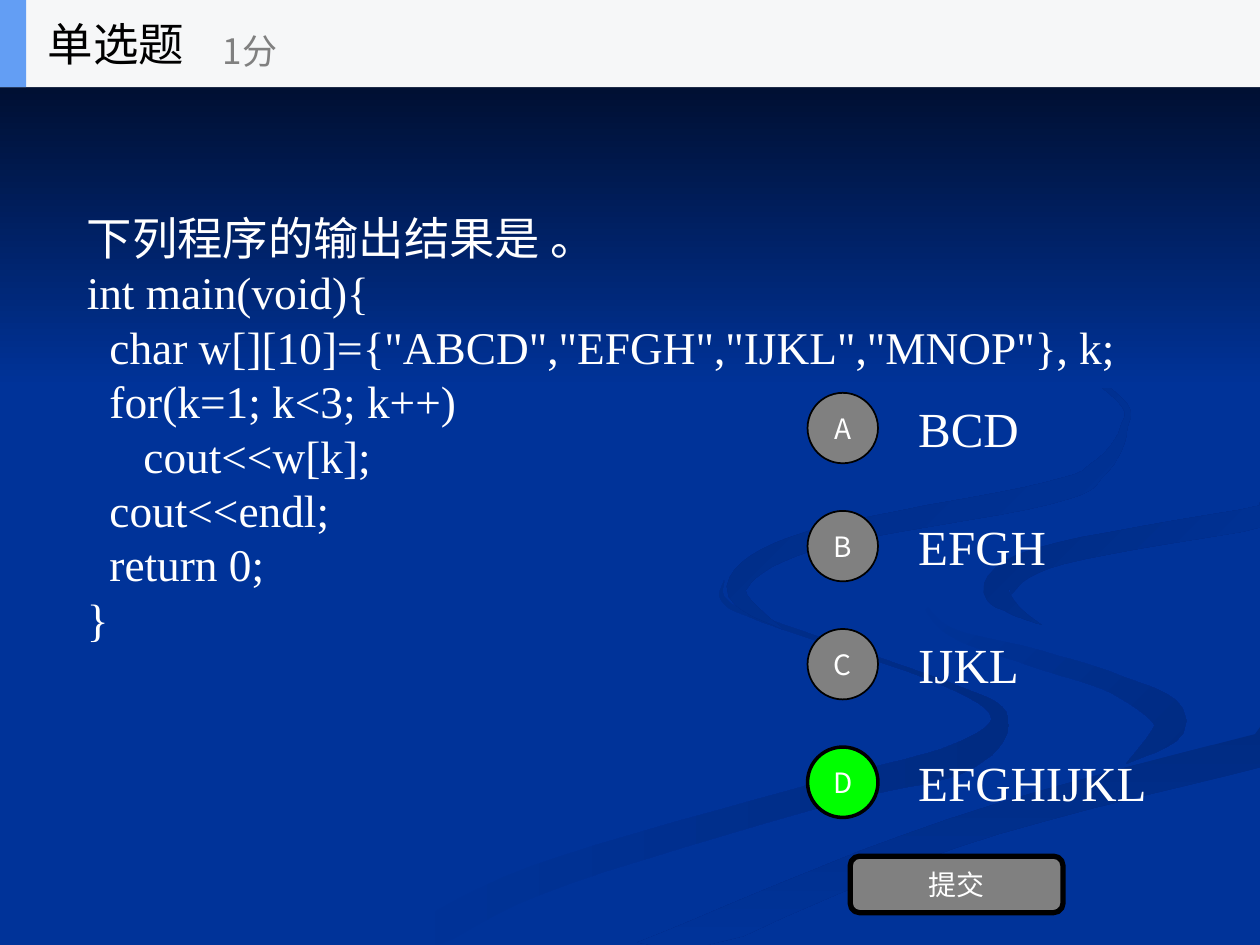
from itertools import chain
from math import atan2, cos, sin

from lxml.etree import SubElement
from pptx import Presentation
from pptx.dml.color import RGBColor
from pptx.enum.shapes import MSO_SHAPE as Preset
from pptx.enum.text import MSO_ANCHOR as Anchor, PP_ALIGN as Align
from pptx.oxml.ns import qn
from pptx.util import Cm, Pt

COLORS = {
    "blue": "003399", "night": "000514", "shade": "002B82", "white": "FFFFFF",
    "black": "000000", "gray": "808080", "green": "00FF00",
    "header": "F6F7F8", "accent": "639EF4",
}
SERIF, SANS = "Times New Roman", "Noto Sans CJK SC"
PAGE_WIDTH, PAGE_HEIGHT = 25.4, 19.05
CURVE_STEPS = 8  # samples between two stations of a ribbon
GRID = 100  # freeform units per centimetre


def write(box, text, size, font, color, align=Align.LEFT):
    frame = box.text_frame
    frame.word_wrap = True
    frame.vertical_anchor = Anchor.MIDDLE
    frame.text = text
    for para in frame.paragraphs:
        para.alignment = align
        for span in para.runs:
            span.font.size = Pt(size)
            span.font.name = font
            span.font.color.rgb = RGBColor.from_string(COLORS[color])
            SubElement(span._r.get_or_add_rPr(), qn("a:ea"), typeface=SANS)


def add_block(preset, left, top, width, height, color, border=0):
    block = page.shapes.add_shape(preset, Cm(left), Cm(top), Cm(width), Cm(height))
    block.shadow.inherit = False
    block.fill.solid()
    block.fill.fore_color.rgb = RGBColor.from_string(COLORS[color])
    if border:
        block.line.color.rgb = RGBColor.from_string(COLORS["black"])
        block.line.width = Pt(border)
    else:
        block.line.fill.background()
    return block


deck = Presentation()
deck.slide_width, deck.slide_height = Cm(PAGE_WIDTH), Cm(PAGE_HEIGHT)
page = deck.slides.add_slide(deck.slide_layouts[6])
page.background.fill.solid()
page.background.fill.fore_color.rgb = RGBColor.from_string(COLORS["blue"])

# Background ribbons: each is a centre line through a few stations (x, y, thickness) in cm.
# Stations beyond the page let a ribbon run out over the edge, where it is cut.
ribbons = {
    "lower left": ("blue", "shade", 0, [
        (14.6, 11.7, 0), (14.6, 12.1, 0.1), (15.4, 12.5, 0.1), (19.1, 13.8, 0.1),
        (20.15, 14.5, 0.35), (19.3, 15.3, 0.6), (16.6, 16, 0.5), (10.8, 17.75, 0.6),
        (7.9, 19.3, 0.7)]),
    "right hook": ("blue", "shade", 45, [
        (18.4, 11.8, 0), (19.1, 12.7, 0.15), (20.8, 13.25, 0.35), (22.5, 13.8, 0.4),
        (23.6, 14.55, 0.65), (22.7, 15.4, 0)]),
    "bottom sweep": ("shade", "blue", 90, [
        (25.9, 15, 0.7), (19.2, 16.8, 0.6), (13, 19.35, 0.75)]),
    "right tail": ("shade", "blue", 45, [
        (25.9, 10.35, 0.45), (21.4, 11.15, 0.45), (20.15, 11.8, 0.6),
        (20.4, 12.25, 0.25), (21, 12.6, 0)]),
    "upper curl": ("shade", "blue", 45, [
        (19.4, 5.9, 0), (22.4, 7.9, 0.1), (22.65, 8.65, 0.15), (22.15, 9.45, 0.35),
        (21.1, 9.95, 0.45), (16.35, 10.9, 0.4), (14.85, 11.85, 0.4), (15.8, 12.7, 0)]),
}
gradients = []
for first, last, angle, stations in ribbons.values():
    # Smooth the centre line with a Catmull-Rom spline
    padded = [stations[0], *stations, stations[-1]]
    samples = []
    for window in zip(padded, padded[1:], padded[2:], padded[3:]):
        for step in range(CURVE_STEPS):
            t = step / CURVE_STEPS
            samples.append([
                b + ((c - a) * t + (2 * a - 5 * b + 4 * c - d) * t**2
                     + (3 * b - a - 3 * c + d) * t**3) / 2
                for a, b, c, d in zip(*window)])
    samples.append(stations[-1])

    # Step half the thickness to either side of it
    sides = {1: [], -1: []}
    for before, here, after in zip(samples[:1] + samples, samples, samples[1:] + samples[-1:]):
        heading = atan2(after[1] - before[1], after[0] - before[0])
        x, y, thickness = here
        for sign, side in sides.items():
            edge_x = x + sign * sin(heading) * thickness / 2
            edge_y = y - sign * cos(heading) * thickness / 2
            side.append((round(min(edge_x, PAGE_WIDTH) * GRID),
                         round(min(edge_y, PAGE_HEIGHT) * GRID)))
    outline = list(chain(sides[1], reversed(sides[-1])))
    builder = page.shapes.build_freeform(*outline[0], scale=Cm(1) / GRID)
    builder.add_line_segments(outline[1:], close=True)
    ribbon = builder.convert_to_shape()
    ribbon.shadow.inherit = False
    ribbon.line.fill.background()
    gradients.append((ribbon, first, last, angle))

# Dark band at the top of the page
band = add_block(Preset.RECTANGLE, 0, 0, PAGE_WIDTH, 7.82, "night")
gradients.append((band, "night", "blue", 90))

# Gradient fills, with angles counted clockwise
for shape, first, last, angle in gradients:
    shape.fill.gradient()
    shape.fill.gradient_angle = (360 - angle) % 360
    for stop, color in zip(shape.fill.gradient_stops, (first, last)):
        stop.color.rgb = RGBColor.from_string(COLORS[color])

# Question with its program
question = """下列程序的输出结果是 。
int main(void){
  char w[][10]={"ABCD","EFGH","IJKL","MNOP"}, k;
  for(k=1; k<3; k++)
     cout<<w[k];
  cout<<endl;
  return 0;
}"""
box = page.shapes.add_textbox(Cm(1.5), Cm(3.99), Cm(22.99), Cm(9.27))
write(box, question, 25.9, SERIF, "white")

# Answer options, the correct one in green
answers = {"A": "BCD", "B": "EFGH", "C": "IJKL", "D": "EFGHIJKL"}
correct = "D"
option_pitch = 2.38
for row, (letter, answer) in enumerate(answers.items()):
    offset = row * option_pitch
    box = page.shapes.add_textbox(Cm(18.26), Cm(7.73 + offset), Cm(5.66), Cm(1.78))
    write(box, answer, 28, SERIF, "white")
    color, border = ("green", 2) if letter == correct else ("gray", 1)
    circle = add_block(Preset.OVAL, 16.28, 7.92 + offset, 1.42, 1.42, color, border)
    write(circle, letter, 16, SANS, "white", Align.CENTER)

# Submit button
button = add_block(Preset.ROUNDED_RECTANGLE, 17.14, 17.26, 4.29, 1.14, "gray", 3)
write(button, "提交", 16, SANS, "white", Align.CENTER)

# Header bar with question type and score
header_height = 1.76
add_block(Preset.RECTANGLE, 0, 0, PAGE_WIDTH, header_height, "header")
add_block(Preset.RECTANGLE, 0, 0, 0.53, header_height, "accent")
box = page.shapes.add_textbox(Cm(0.71), Cm(0), Cm(5.28), Cm(header_height))
write(box, "单选题", 26, SANS, "black")
box = page.shapes.add_textbox(Cm(4.24), Cm(0.3), Cm(6.35), Cm(1.42))
write(box, "1分", 20, SANS, "gray")

deck.save("out.pptx")
